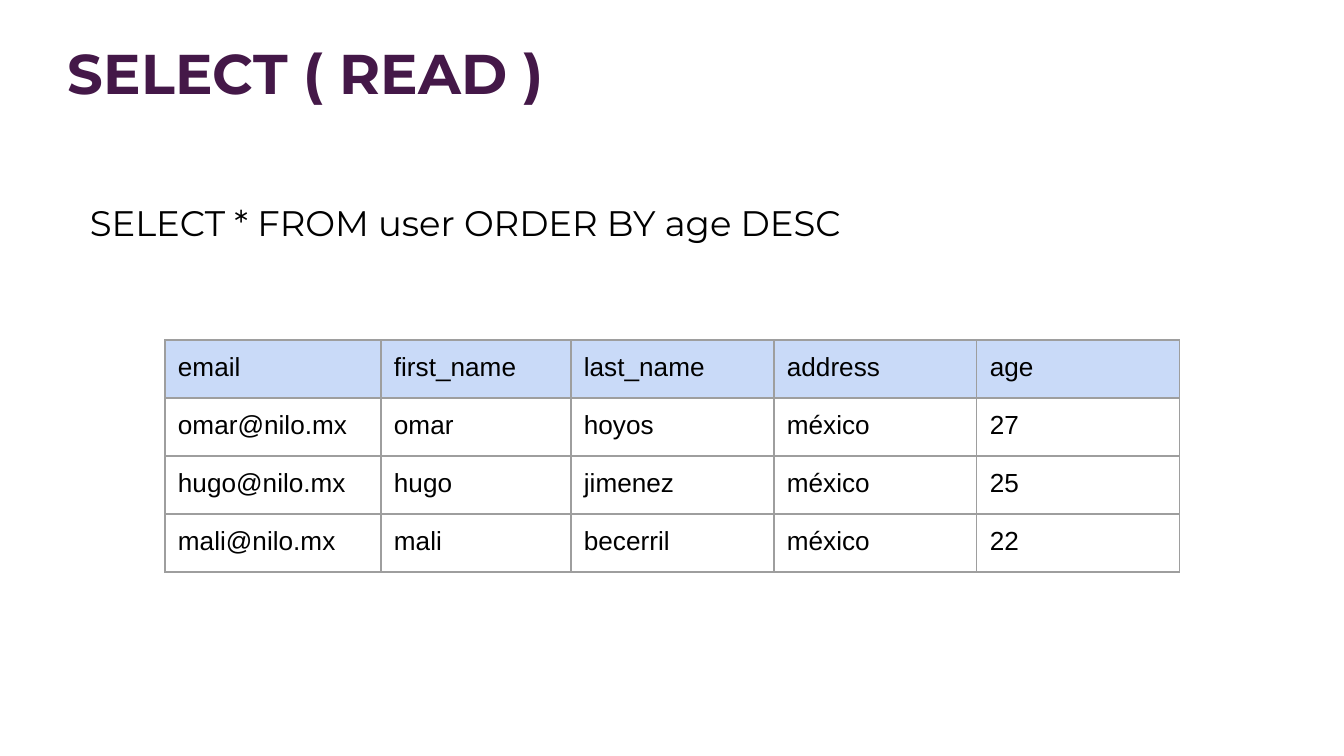
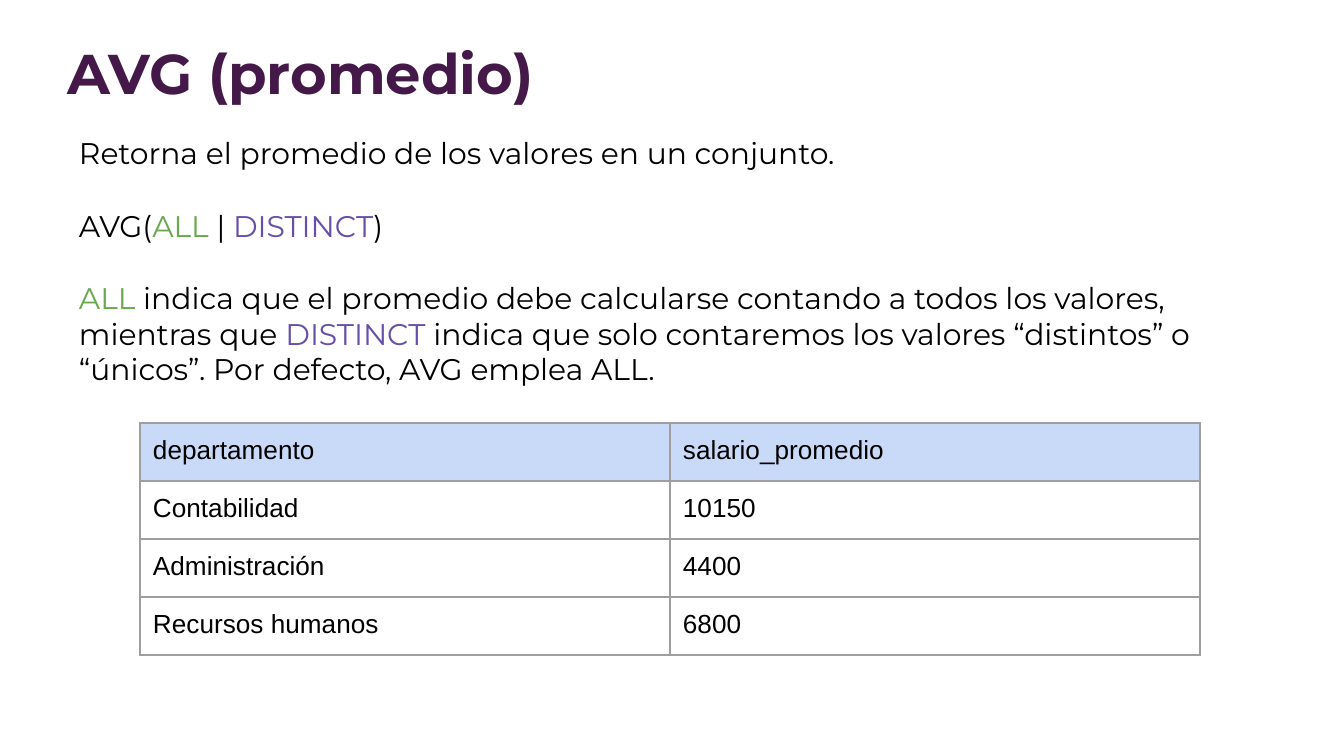
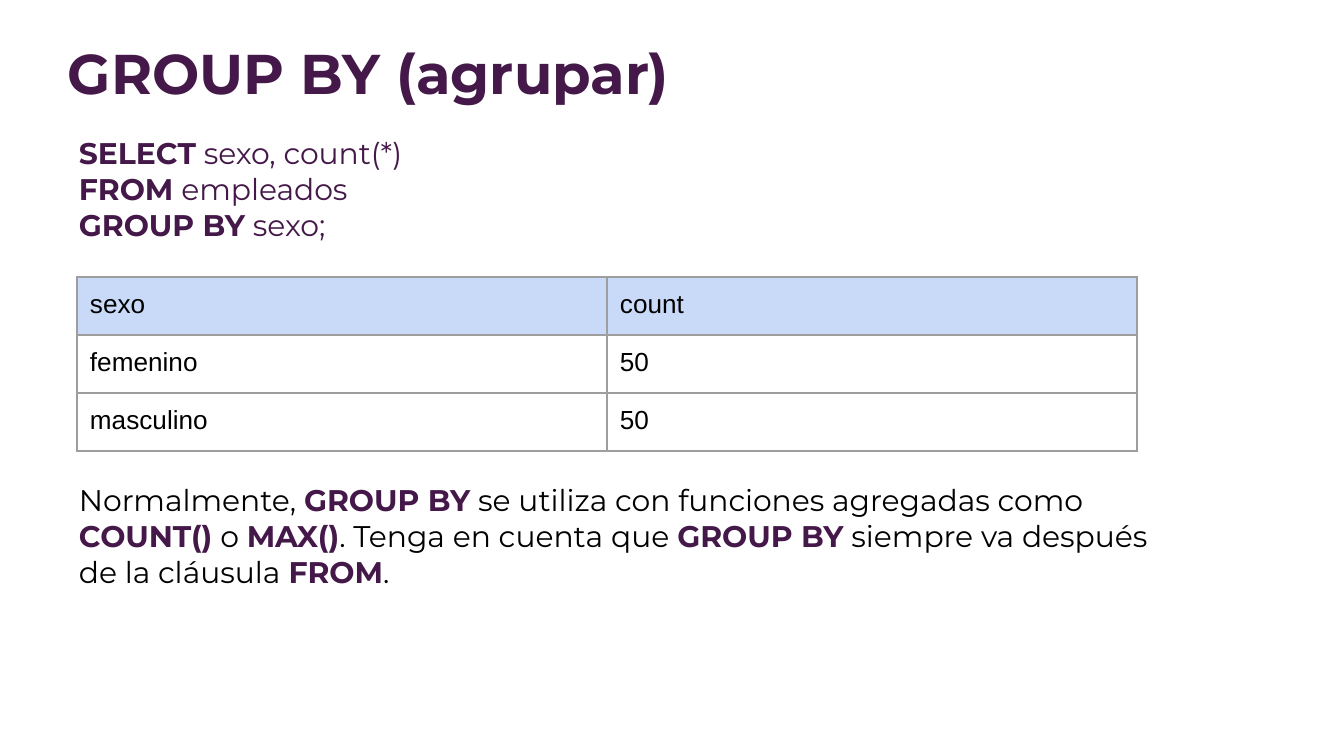
from dataclasses import dataclass

from lxml.etree import SubElement
from pptx import Presentation
from pptx.dml.color import RGBColor
from pptx.enum.text import MSO_ANCHOR, MSO_AUTO_SIZE
from pptx.oxml.ns import qn
from pptx.util import Pt

SCALE = 914400 / 134.4


def px(length):
    return round(length * SCALE)


@dataclass(frozen=True)
class Theme:
    heading_font: str = "Montserrat"
    table_font: str = "Arial"
    ink: str = "000000"
    plum: str = "441848"
    green: str = "6AA84F"
    violet: str = "674EA7"
    header: str = "C9DAF8"
    border: str = "9E9E9E"
    white: str = "FFFFFF"
    title_size: int = 30
    query_size: int = 19
    body_size: int = 16
    table_size: int = 14
    border_width: float = 0.75
    inset: int = 13
    row_height: int = 58


THEME = Theme()


def plain(text):
    return text, THEME.ink, False


def keyword(text):
    return text, THEME.plum, True


def soft(text):
    return text, THEME.plum, False


def option_all(text):
    return text, THEME.green, False


def option_distinct(text):
    return text, THEME.violet, False


def apply(target, values):
    for name, value in values.items():
        setattr(target, name, value)


class DeckBuilder:
    def __init__(self, theme):
        self.theme = theme
        self.deck = Presentation()
        apply(self.deck, {"slide_width": px(1344), "slide_height": px(756)})
        self.page = None

    def insets(self):
        sides = ("left", "top", "right", "bottom")
        return {f"margin_{side}": px(self.theme.inset) for side in sides}

    def add_page(self, title):
        self.page = self.deck.slides.add_slide(self.deck.slide_layouts[6])
        fill = self.page.background.fill
        fill.solid()
        fill.fore_color.rgb = RGBColor.from_string(self.theme.white)
        self.add_text(55, 26, 1261, 79, [[keyword(title)]],
                      self.theme.title_size, MSO_AUTO_SIZE.NONE)

    def add_span(self, para, span, font, size):
        text, color, bold = span
        run = para.add_run()
        run.text = text
        apply(run.font, {"name": font, "size": Pt(size), "bold": bold})
        run.font.color.rgb = RGBColor.from_string(color)

    def add_text(self, left, top, width, height, paragraphs, size,
                 auto_size=MSO_AUTO_SIZE.SHAPE_TO_FIT_TEXT, gap=0):
        box = self.page.shapes.add_textbox(
            px(left), px(top), px(width), px(height))
        frame = box.text_frame
        apply(frame, {"word_wrap": True, "auto_size": auto_size,
                      "vertical_anchor": MSO_ANCHOR.TOP, **self.insets()})
        for index, spans in enumerate(paragraphs):
            para = frame.add_paragraph() if index else frame.paragraphs[0]
            if index and gap:
                para.space_before = Pt(gap)
            for span in spans:
                self.add_span(para, span, self.theme.heading_font, size)

    def add_table(self, left, top, widths, rows):
        height = self.theme.row_height
        table = self.page.shapes.add_table(
            len(rows), len(widths), px(left), px(top),
            px(sum(widths)), px(height * len(rows))).table
        apply(table, {"first_row": False, "horz_banding": False})
        for column, width in zip(table.columns, widths):
            column.width = px(width)
        for index, values in enumerate(rows):
            table.rows[index].height = px(height)
            for cell, value in zip(table.rows[index].cells, values):
                self.style_cell(cell, value, index == 0)

    def style_cell(self, cell, value, is_header):
        apply(cell, self.insets())
        self.add_span(cell.text_frame.paragraphs[0], plain(value),
                      self.theme.table_font, self.theme.table_size)
        self.add_borders(cell)
        if is_header:
            cell.fill.solid()
            cell.fill.fore_color.rgb = RGBColor.from_string(self.theme.header)
        else:
            cell.fill.background()

    def add_borders(self, cell):
        properties = cell._tc.get_or_add_tcPr()
        for side in ("L", "R", "T", "B"):
            line = SubElement(properties, qn(f"a:ln{side}"),
                              w=str(Pt(self.theme.border_width)))
            fill = SubElement(line, qn("a:solidFill"))
            SubElement(fill, qn("a:srgbClr"), val=self.theme.border)

    def save(self):
        self.deck.save("out.pptx")


def build_select(builder):
    builder.add_page("SELECT ( READ )")
    builder.add_text(77, 188, 1068, 70,
                     [[plain("SELECT * FROM user ORDER BY age DESC")]],
                     THEME.query_size)
    builder.add_table(165, 340, [216, 190, 203, 203, 203], [
        ["email", "first_name", "last_name", "address", "age"],
        ["omar@nilo.mx", "omar", "hoyos", "méxico", "27"],
        ["hugo@nilo.mx", "hugo", "jimenez", "méxico", "25"],
        ["mali@nilo.mx", "mali", "becerril", "méxico", "22"],
    ])


def build_average(builder):
    builder.add_page("AVG (promedio)")
    builder.add_text(66, 122, 1171, 281, [
        [plain("Retorna el promedio de los valores en un conjunto.")],
        [plain("AVG("), option_all("ALL "), plain("| "),
         option_distinct("DISTINCT"), plain(")")],
        [option_all("ALL "),
         plain("indica que el promedio debe calcularse contando a todos "
               "los valores, mientras que "),
         option_distinct("DISTINCT "),
         plain("indica que solo contaremos los valores “distintos” o "
               "“únicos”. Por defecto, AVG emplea ALL.")],
    ], THEME.body_size, gap=19.5)
    builder.add_table(140, 423, [530, 530], [
        ["departamento", "salario_promedio"],
        ["Contabilidad", "10150"],
        ["Administración", "4400"],
        ["Recursos humanos", "6800"],
    ])


def build_grouping(builder):
    builder.add_page("GROUP BY (agrupar)")
    builder.add_text(66, 122, 1171, 136, [
        [keyword("SELECT"), soft(" sexo, count(*)")],
        [keyword("FROM"), soft(" empleados")],
        [keyword("GROUP BY"), soft(" sexo;")],
    ], THEME.body_size)
    builder.add_text(66, 469, 1133, 136, [[
        plain("Normalmente, "), keyword("GROUP BY"),
        plain(" se utiliza con funciones agregadas como "),
        keyword("COUNT()"), plain(" o "), keyword("MAX()"),
        plain(". Tenga en cuenta que "), keyword("GROUP BY"),
        plain(" siempre va después de la cláusula "),
        keyword("FROM"), plain("."),
    ]], THEME.body_size)
    builder.add_table(77, 277, [530, 530], [
        ["sexo", "count"],
        ["femenino", "50"],
        ["masculino", "50"],
    ])


def main():
    builder = DeckBuilder(THEME)
    for build in (build_select, build_average, build_grouping):
        build(builder)
    builder.save()


if __name__ == "__main__":
    main()
